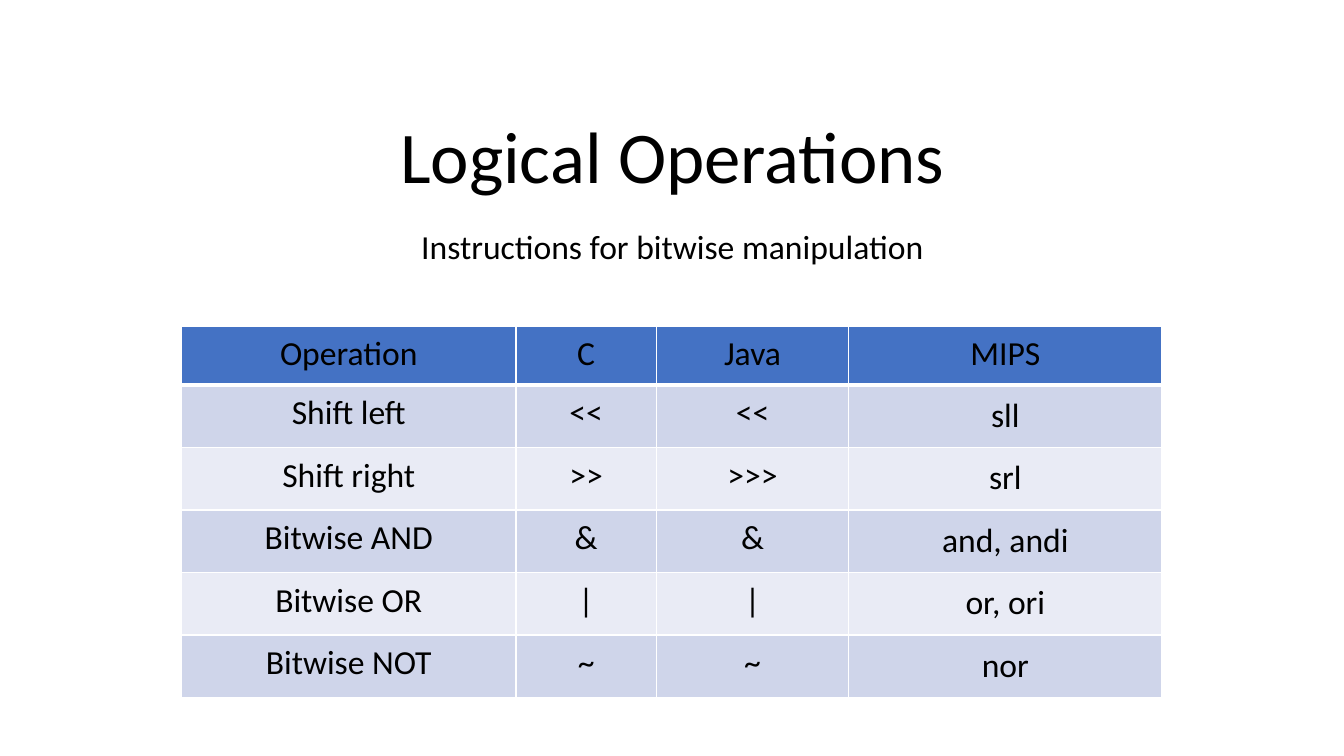
from pptx import Presentation
from pptx.dml.color import RGBColor as RGB
from pptx.enum.text import MSO_ANCHOR as Anchor, MSO_AUTO_SIZE as Fit, PP_ALIGN as Align
from pptx.oxml import parse_xml
from pptx.oxml.ns import nsdecls
from pptx.util import Inches, Pt

BLACK = RGB(0, 0, 0)
WHITE = RGB(255, 255, 255)
BLUE = RGB(0x44, 0x72, 0xC4)
BANDS = RGB(0xE9, 0xEB, 0xF5), RGB(0xCF, 0xD5, 0xEA)

ROWS = [
    ("Operation", "C", "Java", "MIPS"),
    ("Shift left", "<<", "<<", "sll"),
    ("Shift right", ">>", ">>>", "srl"),
    ("Bitwise AND", "&", "&", "and, andi"),
    ("Bitwise OR", "|", "|", "or, ori"),
    ("Bitwise NOT", "~", "~", "nor"),
]


class Deck:
    """Hold the style and the current slide; lengths are percents of its size."""

    font = "Calibri"
    ink = BLACK
    size = 24

    def __init__(self):
        """Open a wide deck with one title-only slide."""
        self.show = Presentation()
        self.show.slide_width = Inches(13.33)
        self.show.slide_height = Inches(7.5)
        self.slide = self.show.slides.add_slide(self.show.slide_layouts[5])

    def across(self, share):
        """Turn a percent of the width into a length."""
        return int(self.show.slide_width * share / 100)

    def down(self, share):
        """Turn a percent of the height into a length."""
        return int(self.show.slide_height * share / 100)

    def box(self, left, top, width, height):
        """Turn four percents into a place on the slide."""
        return self.across(left), self.down(top), self.across(width), self.down(height)

    def text(self, frame, words, size=size, line=0.9, before=0):
        """Put one centred run into a text frame."""
        frame.word_wrap = True
        para = frame.paragraphs[0]
        para.alignment = Align.CENTER
        para.line_spacing = line
        para.space_before = Pt(before)
        run = para.add_run()
        run.text = words
        run.font.name = self.font
        run.font.size = Pt(size)
        run.font.bold = False
        run.font.color.rgb = self.ink

    def title(self, words, *place):
        """Place and fill the title."""
        head = self.slide.shapes.title
        head.left, head.top, head.width, head.height = self.box(*place)
        head.text_frame.auto_size = Fit.NONE
        head.text_frame.vertical_anchor = Anchor.BOTTOM
        self.text(head.text_frame, words, size=52)

    def label(self, words, *place):
        """Add a line of text."""
        frame = self.slide.shapes.add_textbox(*self.box(*place)).text_frame
        self.text(frame, words, before=10)

    def edge(self, cell, side, width):
        """Draw one white border of a cell."""
        cell._tc.get_or_add_tcPr().append(parse_xml(
            f'<a:ln{side} {nsdecls("a")} w="{int(Pt(width))}"><a:solidFill>'
            f'<a:srgbClr val="{WHITE}"/></a:solidFill></a:ln{side}>'))

    def cell(self, cell, words, row, last):
        """Fill one cell; the last column's body sits a little lower."""
        low = last and row > 0
        cell.margin_left = cell.margin_right = Inches(0.13)
        cell.margin_top = Inches(0.15 if low else 0.12)
        cell.margin_bottom = Inches(0.07)
        for side in "LRTB":
            thick = (row, side) in ((0, "B"), (1, "T"))
            self.edge(cell, side, 3 if thick else 1)
        cell.fill.solid()
        cell.fill.fore_color.rgb = BANDS[row % 2] if row else BLUE
        self.text(cell.text_frame, words, line=0.83 if low else 0.84, before=14.6)

    def table(self, rows, left, top, widths, heights):
        """Add a banded table with a header row."""
        place = self.box(left, top, sum(widths), sum(heights))
        grid = self.slide.shapes.add_table(len(rows), len(widths), *place).table
        grid.first_row = grid.horz_banding = False
        for col, width in zip(grid.columns, widths):
            col.width = self.across(width)
        for line, height in zip(grid.rows, heights):
            line.height = self.down(height)
        for r, texts in enumerate(rows):
            for c, words in enumerate(texts):
                self.cell(grid.cell(r, c), words, r, c == len(widths) - 1)


deck = Deck()
deck.title("Logical Operations", 6.9, 8.13, 86.25, 18.93)
deck.label("Instructions for bitwise manipulation", 6.9, 29.87, 86.25, 10.67)
deck.table(ROWS, 13.5, 43.13, [24.9, 10.43, 14.33, 23.3], [7.8] + [8.27] * 5)
deck.show.save("out.pptx")
